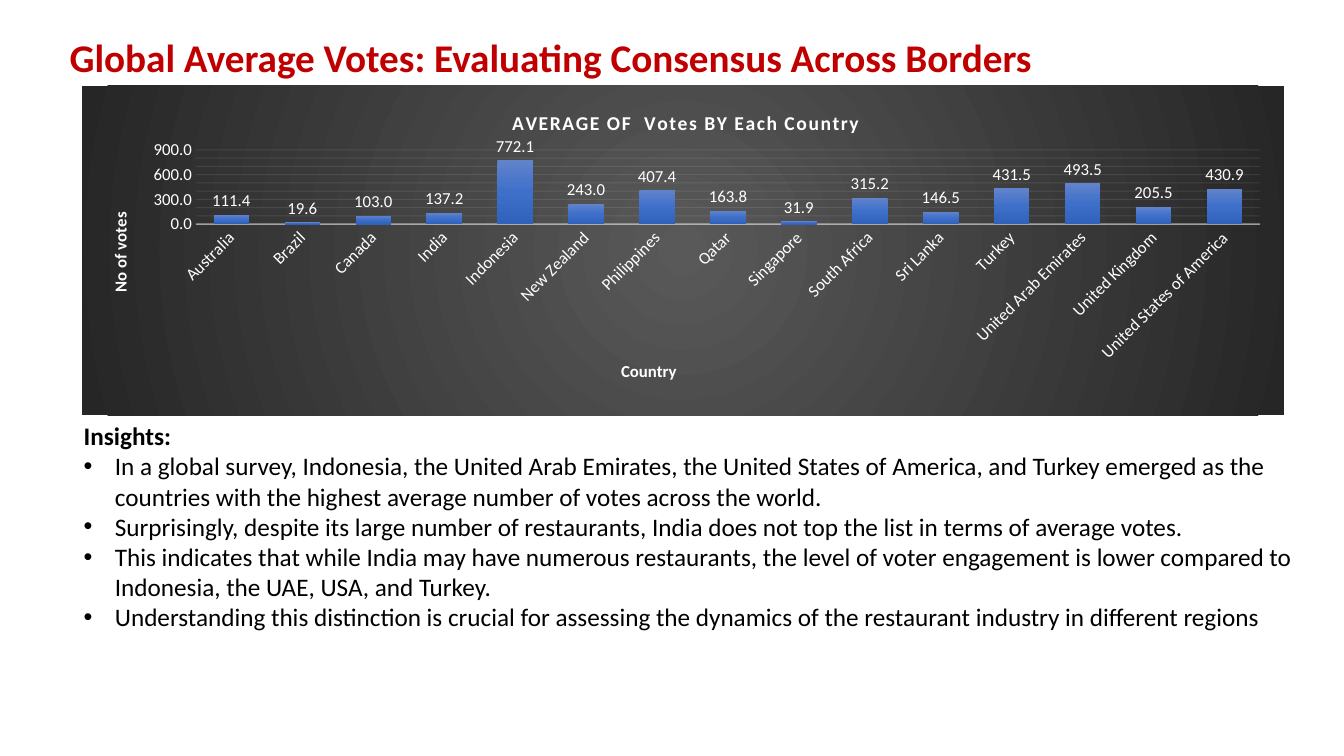
from dataclasses import dataclass
from typing import NamedTuple

from lxml import etree
from pptx import Presentation
from pptx.chart.data import CategoryChartData
from pptx.dml.color import RGBColor
from pptx.enum.chart import XL_CHART_TYPE, XL_LABEL_POSITION, XL_TICK_MARK
from pptx.enum.text import MSO_ANCHOR, MSO_AUTO_SIZE, PP_ALIGN
from pptx.oxml import parse_xml
from pptx.oxml.ns import nsdecls, qn
from pptx.util import Inches, Pt

COLUMN_CLUSTERED = XL_CHART_TYPE.COLUMN_CLUSTERED
OUTSIDE_END = XL_LABEL_POSITION.OUTSIDE_END
NO_TICK = XL_TICK_MARK.NONE
TOP = MSO_ANCHOR.TOP
GROW = MSO_AUTO_SIZE.SHAPE_TO_FIT_TEXT
LEFT = PP_ALIGN.LEFT

CELL = Inches(0.1)  # side of one grid square


@dataclass(frozen=True)
class Theme:
    font: str = "Calibri"
    heading: str = "C00000"
    text: str = "000000"
    chart_text: str = "FFFFFF"
    chart_line: str = "F2F2F2"
    backdrop: tuple = ((0, "595959"), (100, "262626"))
    columns: tuple = ((0, "6183CB"), (50, "3E70CA"), (100, "3062BB"))
    heading_size: int = 28
    body_size: int = 18
    chart_title_size: int = 14
    chart_size: int = 12


class Box(NamedTuple):
    """Place on the grid, in columns and rows."""
    column: float
    row: float
    columns: float
    rows: float

    def lengths(self) -> list:
        return [round(cells * CELL) for cells in self]


class CountryVotes(NamedTuple):
    country: str
    average: float


THEME = Theme()
PAGE = Box(0, 0, 133.33, 75)
HEADING_BOX = Box(5.9, 2.8, 100.8, 5.7)
CHART_BOX = Box(8.1, 8.5, 119.3, 32.7)
INSIGHTS_BOX = Box(7.3, 41.2, 124.1, 28.3)
BULLET_INDENT = round(3.1 * CELL)

HEADING = "Global Average Votes: Evaluating Consensus Across Borders"
INSIGHTS = (
    "In a global survey, Indonesia, the United Arab Emirates, the United States of America, "
    "and Turkey emerged as the countries with the highest average number of votes across the world.",
    "Surprisingly, despite its large number of restaurants, India does not top the list "
    "in terms of average votes.",
    "This indicates that while India may have numerous restaurants, the level of voter "
    "engagement is lower compared to Indonesia, the UAE, USA, and Turkey.",
    "Understanding this distinction is crucial for assessing the dynamics of the restaurant "
    "industry in different regions",
)
VOTES = (
    CountryVotes("Australia", 111.4),
    CountryVotes("Brazil", 19.6),
    CountryVotes("Canada", 103.0),
    CountryVotes("India", 137.2),
    CountryVotes("Indonesia", 772.1),
    CountryVotes("New Zealand", 243.0),
    CountryVotes("Philippines", 407.4),
    CountryVotes("Qatar", 163.8),
    CountryVotes("Singapore", 31.9),
    CountryVotes("South Africa", 315.2),
    CountryVotes("Sri Lanka", 146.5),
    CountryVotes("Turkey", 431.5),
    CountryVotes("United Arab Emirates", 493.5),
    CountryVotes("United Kingdom", 205.5),
    CountryVotes("United States of America", 430.9),
)


def style_font(font, size: int, color: str, bold: bool = False) -> None:
    font.name, font.size, font.bold = THEME.font, Pt(size), bold
    font.color.rgb = RGBColor.from_string(color)


def place(shape, box: Box) -> None:
    shape.left, shape.top, shape.width, shape.height = box.lengths()


def fill_placeholder(shape, box: Box, lines: tuple, size: int, color: str) -> None:
    """Write the lines, the first one bold."""
    place(shape, box)
    frame = shape.text_frame
    frame.text = "\n".join(lines)
    frame.word_wrap, frame.auto_size, frame.vertical_anchor = True, GROW, TOP
    for index, para in enumerate(frame.paragraphs):
        para.alignment, para.line_spacing = LEFT, 1.0
        para.space_before = para.space_after = Pt(0)
        for span in para.runs:
            style_font(span.font, size, color, bold=index == 0)


def set_bullet(para, shown: bool) -> None:
    properties = para._p.get_or_add_pPr()
    indent = BULLET_INDENT if shown else 0
    properties.set("marL", str(indent))
    properties.set("indent", str(-indent))
    if shown:
        etree.SubElement(properties, qn("a:buFont")).set("typeface", "Arial")
        etree.SubElement(properties, qn("a:buChar")).set("char", "•")
    else:
        etree.SubElement(properties, qn("a:buNone"))


def gradient_properties(stops: tuple, direction: str):
    """Chart shape properties with a gradient fill and no outline."""
    colors = "".join(
        f'<a:gs pos="{share * 1000}"><a:srgbClr val="{color}"/></a:gs>' for share, color in stops
    )
    return parse_xml(
        f'<c:spPr {nsdecls("c", "a")}><a:gradFill><a:gsLst>{colors}</a:gsLst>{direction}'
        "</a:gradFill><a:ln><a:noFill/></a:ln></c:spPr>"
    )


def set_layout(element, index: int, **percents: float) -> None:
    """Pin a chart part at percentages of the chart's size."""
    for old in element.findall(qn("c:layout")):
        element.remove(old)
    layout = etree.Element(qn("c:layout"))
    manual = etree.SubElement(layout, qn("c:manualLayout"))
    settings = {"layoutTarget": "inner"} if "w" in percents else {}
    settings |= {"xMode": "edge", "yMode": "edge"}
    settings |= {name: f"{percent / 100:.4f}" for name, percent in percents.items()}
    for name, value in settings.items():
        etree.SubElement(manual, qn(f"c:{name}")).set("val", value)
    element.insert(index, layout)


def write_chart_title(title, text: str, size: int, x: float, y: float, spacing: int = 0) -> None:
    title.text_frame.text = text
    span = title.text_frame.paragraphs[0].runs[0]
    style_font(span.font, size, THEME.chart_text, bold=True)
    span.font._element.set("spc", str(spacing))
    set_layout(title._element, 1, x=x, y=y)


def style_line(line, width: float, opacity: int) -> None:
    line.width = Pt(width)
    line.color.rgb = RGBColor.from_string(THEME.chart_line)
    for color in line._get_or_add_ln().iter(qn("a:srgbClr")):
        etree.SubElement(color, qn("a:alpha")).set("val", str(opacity * 1000))


def style_axes(chart) -> None:
    countries, votes = chart.category_axis, chart.value_axis
    for axis in (countries, votes):
        axis.major_tick_mark = axis.minor_tick_mark = NO_TICK
        style_font(axis.tick_labels.font, THEME.chart_size, THEME.chart_text)
    style_line(countries.format.line, 1, 54)
    countries._element.find(qn("c:txPr")).find(qn("a:bodyPr")).set("rot", str(-45 * 60000))
    votes.minimum_scale, votes.maximum_scale, votes.major_unit = 0, 900, 100
    votes.tick_labels.number_format = "0.0"
    votes.tick_labels.number_format_is_linked = False
    votes.format.line.fill.background()
    style_line(votes.major_gridlines.format.line, 0.75, 10)
    write_chart_title(countries.axis_title, "Country", THEME.chart_size, 44.6, 82.2)
    write_chart_title(votes.axis_title, "No of votes", THEME.chart_size, 2, 37.5)


def add_votes_chart(page) -> None:
    data = CategoryChartData(number_format="0.0")
    data.categories = [entry.country for entry in VOTES]
    data.add_series("Series 1", [entry.average for entry in VOTES])
    chart = page.shapes.add_chart(COLUMN_CLUSTERED, *CHART_BOX.lengths(), data).chart
    chart.has_legend = False
    style_font(chart.font, THEME.chart_size, THEME.chart_text)
    write_chart_title(chart.chart_title, "AVERAGE OF  Votes BY Each Country",
                      THEME.chart_title_size, 35.5, 6, spacing=100)
    style_axes(chart)

    plot = chart.plots[0]
    plot.gap_width, plot.overlap, plot.vary_by_categories = 100, -24, False
    plot.has_data_labels = True
    labels = plot.data_labels
    labels.show_value, labels.position = True, OUTSIDE_END
    labels.number_format, labels.number_format_is_linked = "0.0", False
    style_font(labels.font, THEME.chart_size, THEME.chart_text)

    series = plot.series[0]._element
    series.find(qn("c:tx")).addnext(gradient_properties(THEME.columns, '<a:lin ang="5400000"/>'))
    center = '<a:path path="circle"><a:fillToRect l="50000" t="50000" r="50000" b="50000"/></a:path>'
    body = chart._chartSpace.find(qn("c:chart"))
    body.addnext(gradient_properties(THEME.backdrop, center))
    set_layout(body.find(qn("c:plotArea")), 0, x=9.5, y=19.5, w=88.5, h=22.5)


def main() -> None:
    deck = Presentation()
    deck.slide_width, deck.slide_height = PAGE.lengths()[2:]
    page = deck.slides.add_slide(deck.slide_layouts[1])
    fill_placeholder(page.shapes.title, HEADING_BOX, (HEADING,), THEME.heading_size, THEME.heading)
    add_votes_chart(page)
    insights = page.placeholders[1]
    fill_placeholder(insights, INSIGHTS_BOX, ("Insights:", *INSIGHTS), THEME.body_size, THEME.text)
    for index, para in enumerate(insights.text_frame.paragraphs):
        set_bullet(para, shown=index > 0)
    deck.save("out.pptx")


if __name__ == "__main__":
    main()
